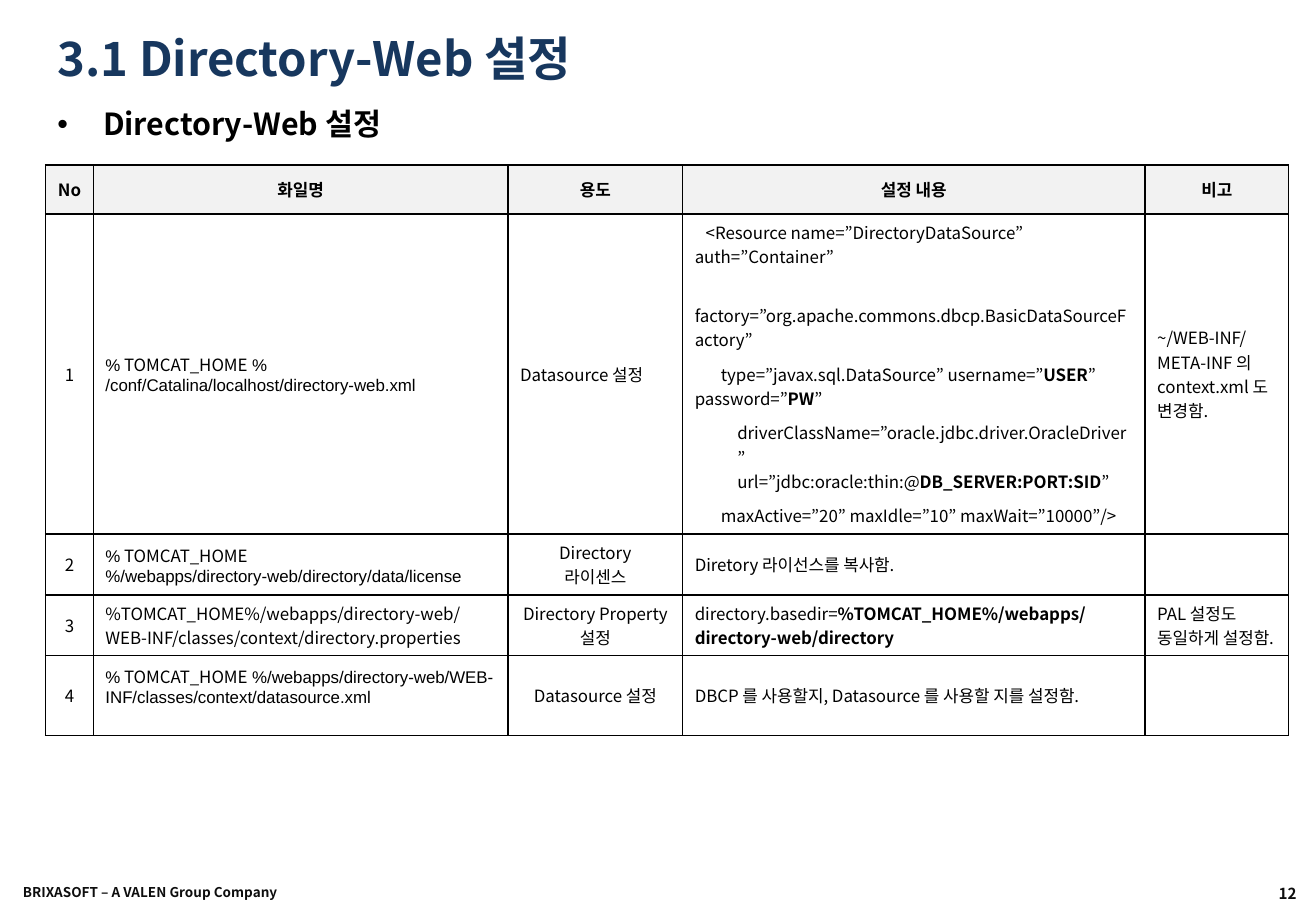
from lxml import etree
from pptx import Presentation
from pptx.dml.color import RGBColor
from pptx.enum.text import MSO_ANCHOR, PP_ALIGN
from pptx.oxml.ns import qn
from pptx.util import Pt

LEFT, CENTER, RIGHT = PP_ALIGN.LEFT, PP_ALIGN.CENTER, PP_ALIGN.RIGHT
TOP, MIDDLE = MSO_ANCHOR.TOP, MSO_ANCHOR.MIDDLE
SANS, ARIAL = "Noto Sans CJK KR", "Arial"
BLACK, NAVY, INK, HEADER_GRAY = "000000", "17375E", "0D0D0D", "F2F2F2"

COLUMN_WIDTHS = [28.3, 245.8, 103.5, 274.1, 85.2]
ROW_HEIGHTS = [29, 189.7, 36.1, 36.1, 47.4]
HEADERS = ["No", "화일명", "용도", "설정 내용", "비고"]


def color(hex_code):
    return RGBColor.from_string(hex_code)


def apply(target, values):
    for name, value in values.items():
        setattr(target, name, value)


def line(*runs, indent=0, first=0, **paragraph_format):
    """One paragraph: runs are strings or (text, font values) pairs."""
    return {"runs": runs, "indent": indent, "first": first, "format": paragraph_format}


def bold(text):
    return text, {"bold": True}


def home_path(rest):
    """A path whose % signs and tail are set in Arial."""
    arial = {"name": ARIAL}
    return [line(("%", arial), " TOMCAT_HOME", (rest, arial))]


GAP = {"space_before": Pt(6)}
RESOURCE = [
    line("<Resource name=”DirectoryDataSource” auth=”Container”", first=6.5, **GAP),
    line("factory=”org.apache.commons.dbcp.BasicDataSourceFactory”",
         space_before=Pt(20.4)),
    line("type=”javax.sql.DataSource” username=”", bold("USER"), "” password=”",
         bold("PW"), "”", first=15.5, **GAP),
    line("driverClassName=”oracle.jdbc.driver.OracleDriver”\nurl=”jdbc:oracle:thin:@",
         bold("DB_SERVER:PORT:SID"), "”", indent=25.2, **GAP),
    line("maxActive=”20” maxIdle=”10” maxWait=”10000”/>", first=15.5, **GAP),
]
ROWS = [
    [home_path(" % /conf/Catalina/localhost/directory-web.xml"),
     [line("Datasource 설정", alignment=LEFT)],
     RESOURCE,
     [line("~/WEB-INF/META-INF 의 context.xml 도 변경함.")]],
    [home_path(" %/webapps/directory-web/directory/data/license"),
     [line("Directory"), line("라이센스")],
     [line("Diretory 라이선스를 복사함.")],
     []],
    [[line("%TOMCAT_HOME%/webapps/directory-web/WEB-INF/classes/context/"
           "directory.properties")],
     [line("Directory Property 설정")],
     [line("directory.basedir=", bold("%TOMCAT_HOME%/webapps/directory-web/directory"))],
     [line("PAL 설정도 동일하게 설정함.")]],
    [home_path(" %/webapps/directory-web/WEB-INF/classes/context/datasource.xml"),
     [line("Datasource 설정")],
     [line("DBCP 를 사용할지, Datasource 를 사용할 지를 설정함.")],
     []],
]


class Page:
    def __init__(self, width, height):
        self.deck = Presentation()
        self.deck.slide_width, self.deck.slide_height = Pt(width), Pt(height)
        self.slide = self.deck.slides.add_slide(self.deck.slide_layouts[6])

    def fill_frame(self, frame, lines, size, ink=BLACK, weight=False, align=LEFT):
        for number, content in enumerate(lines):
            paragraph = frame.paragraphs[0] if number == 0 else frame.add_paragraph()
            apply(paragraph, {"alignment": align, **content["format"]})
            properties = paragraph._p.get_or_add_pPr()
            properties.set("marL", str(Pt(content["indent"])))
            properties.set("indent", str(Pt(content["first"])))
            for item in content["runs"]:
                text, changes = (item, {}) if isinstance(item, str) else item
                font_values = {"name": SANS, "size": Pt(size), "bold": weight, **changes}
                for part_number, part in enumerate(text.split("\n")):
                    if part_number:
                        paragraph.add_line_break()
                    run = paragraph.add_run()
                    run.text = part
                    apply(run.font, font_values)
                    run.font.color.rgb = color(ink)
                    east_asian = etree.SubElement(run._r.get_or_add_rPr(), qn("a:ea"))
                    east_asian.set("typeface", font_values["name"])

    def text(self, box, content, size, ink, insets=(7.2, 3.6), anchor=MIDDLE, align=LEFT):
        frame = self.slide.shapes.add_textbox(*map(Pt, box)).text_frame
        side, edge = map(Pt, insets)
        apply(frame, {"word_wrap": True, "vertical_anchor": anchor,
                      "margin_left": side, "margin_right": side,
                      "margin_top": edge, "margin_bottom": edge})
        self.fill_frame(frame, [content], size, ink, True, align)
        return frame

    def bullet(self, box, content, size, ink):
        frame = self.text(box, content, size, ink, anchor=TOP)
        properties = frame.paragraphs[0]._p.get_or_add_pPr()
        etree.SubElement(properties, qn("a:buFont")).set("typeface", ARIAL)
        etree.SubElement(properties, qn("a:buChar")).set("char", "•")

    def table(self, left, top, widths, heights):
        shape = self.slide.shapes.add_table(
            len(heights), len(widths), Pt(left), Pt(top), Pt(sum(widths)), Pt(sum(heights)))
        table = shape.table
        apply(table, {"first_row": False, "horz_banding": False})
        for column, width in zip(table.columns, widths):
            column.width = Pt(width)
        for row, height in zip(table.rows, heights):
            row.height = Pt(height)
        return table

    def cell(self, cell, lines, fill=None, weight=False, align=LEFT):
        properties = cell._tc.get_or_add_tcPr()
        for side in ("a:lnL", "a:lnR", "a:lnT", "a:lnB"):
            border = etree.SubElement(properties, qn(side), w=str(Pt(1)))
            paint = etree.SubElement(border, qn("a:solidFill"))
            etree.SubElement(paint, qn("a:srgbClr"), val=BLACK)
        if fill:
            cell.fill.solid()
            cell.fill.fore_color.rgb = color(fill)
        else:
            cell.fill.background()
        cell.vertical_anchor = MIDDLE
        self.fill_frame(cell.text_frame, lines, 10, weight=weight, align=align)


def main():
    page = Page(780, 540)
    page.text((595, 515, 182, 29.5), line("12"), 9, INK, (8.6, 4.3), align=RIGHT)
    page.text((5, 514, 247, 29.5), line("BRIXASOFT – A VALEN Group Company"),
              8, INK, (8.6, 4.3))
    page.text((27, 14, 702, 40), line("3.1 Directory-Web 설정"), 28, NAVY)

    settings = page.table(27, 97.8, COLUMN_WIDTHS, ROW_HEIGHTS)
    for column, header in enumerate(HEADERS):
        page.cell(settings.cell(0, column), [line(header)], HEADER_GRAY, True, CENTER)
    for number, entries in enumerate(ROWS, start=1):
        for column, lines in enumerate([[line(str(number))], *entries]):
            align = CENTER if column in (0, 2) else LEFT
            page.cell(settings.cell(number, column), lines, align=align)
    apply(settings.cell(len(ROWS), 1), {"vertical_anchor": TOP, "margin_top": Pt(5)})

    page.bullet((27, 59, 714, 32), line("Directory-Web 설정", indent=27, first=-27),
                18, BLACK)
    page.deck.save("out.pptx")


if __name__ == "__main__":
    main()
